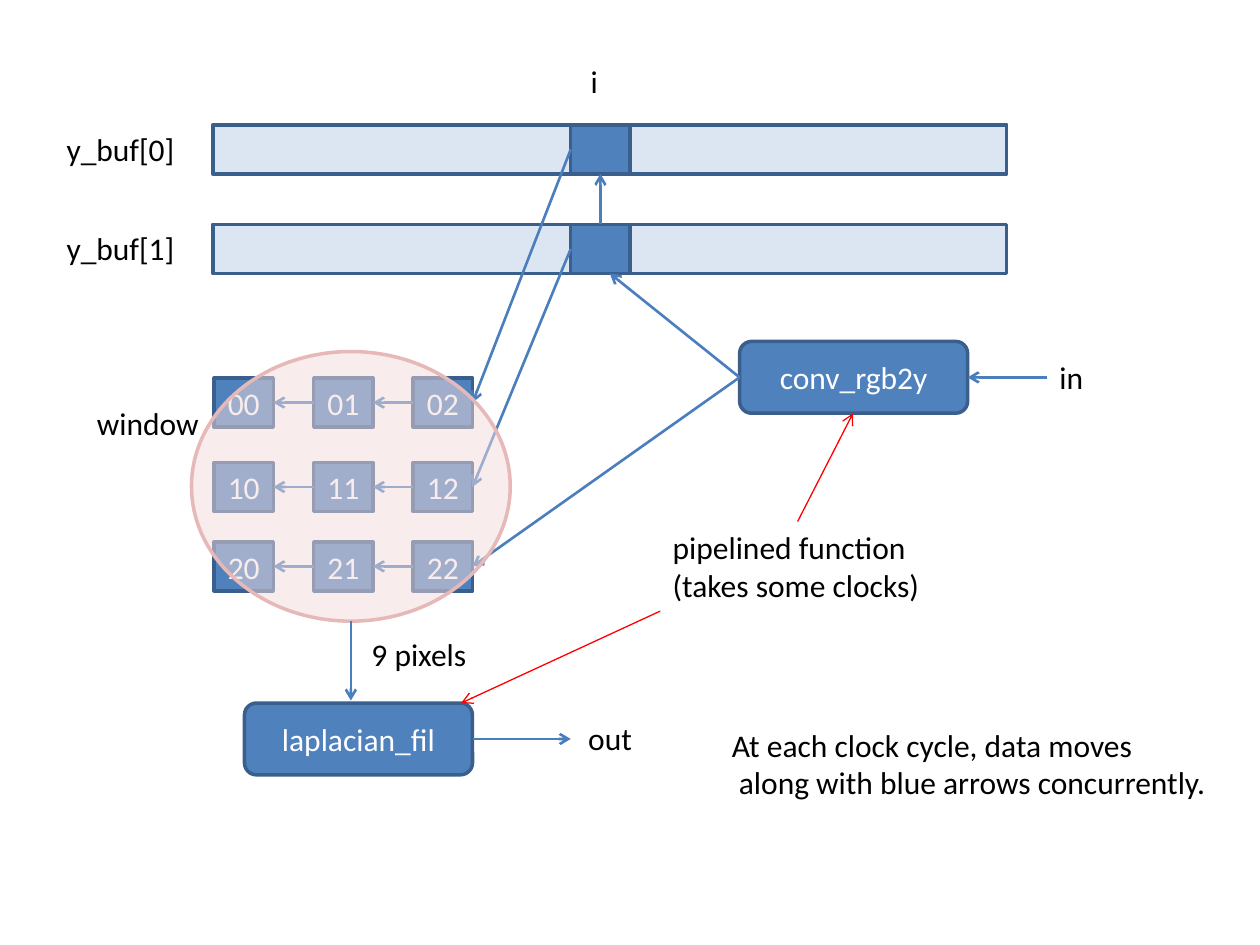
import pptx
import pptx.util
import pptx.dml.color
import pptx.enum.shapes
import pptx.enum.text
import pptx.oxml.ns
from lxml import etree

SHAPE = pptx.enum.shapes.MSO_SHAPE
INCH = pptx.util.Inches
COLORS = {
    "buffer": "DCE6F2", "block": "4F81BD", "edge": "3A5F8C", "flow": "4B7EBC",
    "note": "FF0000", "window": "F2DCDB", "window_edge": "E6B9B8",
    "white": "FFFFFF", "black": "000000",
}

# Content: labels as (left, top, width, lines)
LABELS = [
    (4.59, 0.44, 0.26, ["i"]),
    (8.31, 2.79, 0.39, ["in"]),
    (2.85, 4.99, 0.96, ["9 pixels"]),
    (0.67, 3.16, 1.02, ["window"]),
    (4.57, 5.66, 0.55, ["out"]),
    (5.24, 4.14, 2.18, ["pipelined function", "(takes some clocks)"]),
    (5.71, 5.71, 4.17, ["At each clock cycle, data moves",
                        " along with blue arrows concurrently."]),
]
BUFFERS = ["y_buf[0]", "y_buf[1]"]
WINDOW = [["00", "01", "02"], ["10", "11", "12"], ["20", "21", "22"]]

# Grid
CELL_W, CELL_H = 0.47, 0.39
BUFFER_LEFT, BUFFER_W, BUFFER_TOP, BUFFER_STEP = 1.69, 6.3, 0.99, 0.79
PIXEL_LEFT = 4.53
WINDOW_LEFT, WINDOW_STEP = 1.7, 0.79
WINDOW_TOPS = [3.0, 3.67, 4.3]
FUNCTION_W, FUNCTION_H = 1.81, 0.57
CONV = (5.87, 2.71)
LAPLACIAN = (1.94, 5.58)
ELLIPSE = (1.52, 2.79, 2.53, 2.14)

deck = pptx.Presentation()
deck.slide_width, deck.slide_height = INCH(10), INCH(7.5)
page = deck.slides.add_slide(deck.slide_layouts[6])


def rgb(name):
    return pptx.dml.color.RGBColor.from_string(COLORS[name])


def write(frame, lines, color, align):
    for number, line in enumerate(lines):
        para = frame.paragraphs[0] if number == 0 else frame.add_paragraph()
        para.alignment = align
        span = para.add_run()
        span.text = line
        span.font.size = pptx.util.Pt(18)
        span.font.name = "Calibri"
        span.font.color.rgb = rgb(color)


def add_box(kind, place, fill="block", edge="edge", text=None):
    box = page.shapes.add_shape(kind, *map(INCH, place))
    box.shadow.inherit = False
    box.fill.solid()
    box.fill.fore_color.rgb = rgb(fill)
    box.line.color.rgb = rgb(edge)
    box.line.width = pptx.util.Pt(2)
    if text:
        box.text_frame.vertical_anchor = pptx.enum.text.MSO_ANCHOR.MIDDLE
        write(box.text_frame, [text], "white", pptx.enum.text.PP_ALIGN.CENTER)
    return box


def add_label(left, top, width, lines):
    height = 0.4 if len(lines) == 1 else 0.71
    box = page.shapes.add_textbox(*map(INCH, (left, top, width, height)))
    box.text_frame.word_wrap = width > 4
    box.text_frame.auto_size = pptx.enum.text.MSO_AUTO_SIZE.SHAPE_TO_FIT_TEXT
    write(box.text_frame, lines, "black", pptx.enum.text.PP_ALIGN.LEFT)


def add_arrow(start, end, color="flow", width=1.5):
    arrow = page.shapes.add_connector(
        pptx.enum.shapes.MSO_CONNECTOR.STRAIGHT, *map(INCH, (*start, *end)))
    arrow.line.color.rgb = rgb(color)
    arrow.line.width = pptx.util.Pt(width)
    etree.SubElement(arrow.line._get_or_add_ln(),
                     pptx.oxml.ns.qn("a:tailEnd"), type="arrow")
    etree.SubElement(arrow._element.spPr, pptx.oxml.ns.qn("a:effectLst"))


# Line buffers with the current pixel
buffer_tops = [BUFFER_TOP + BUFFER_STEP * row for row in range(len(BUFFERS))]
for name, top in zip(BUFFERS, buffer_tops):
    add_box(SHAPE.RECTANGLE, (BUFFER_LEFT, top, BUFFER_W, CELL_H), "buffer")
    add_box(SHAPE.RECTANGLE, (PIXEL_LEFT, top, CELL_W, CELL_H))
    add_label(0.43, top - 0.01, 1.07, [name])
pixel_center = PIXEL_LEFT + CELL_W / 2
add_arrow((pixel_center, buffer_tops[1]), (pixel_center, buffer_tops[0] + CELL_H))

# Color conversion
conv_middle = CONV[1] + FUNCTION_H / 2
conv_out = (CONV[0], conv_middle)
add_box(SHAPE.ROUNDED_RECTANGLE, (*CONV, FUNCTION_W, FUNCTION_H), text="conv_rgb2y")
add_arrow((8.31, conv_middle), (CONV[0] + FUNCTION_W, conv_middle))
add_arrow(conv_out, (4.84, buffer_tops[1] + CELL_H))

# Shifting 3 x 3 window, each row fed from the right
sources = [(PIXEL_LEFT, top + CELL_H / 2) for top in buffer_tops] + [conv_out]
for names, top, source in zip(WINDOW, WINDOW_TOPS, sources):
    middle = top + CELL_H / 2
    for column, name in enumerate(names):
        left = WINDOW_LEFT + WINDOW_STEP * column
        add_box(SHAPE.RECTANGLE, (left, top, CELL_W, CELL_H), text=name)
        if column:
            add_arrow((left, middle), (left - WINDOW_STEP + CELL_W, middle))
    add_arrow(source, (left + CELL_W, middle))

# Translucent window outline
ellipse = add_box(SHAPE.OVAL, ELLIPSE, "window", "window_edge")
tint = ellipse.fill._xPr.find(".//" + pptx.oxml.ns.qn("a:srgbClr"))
etree.SubElement(tint, pptx.oxml.ns.qn("a:alpha"), val="50000")

# Laplacian filter
ellipse_center = ELLIPSE[0] + ELLIPSE[2] / 2
filter_middle = LAPLACIAN[1] + FUNCTION_H / 2
add_arrow((ellipse_center, ELLIPSE[1] + ELLIPSE[3]), (ellipse_center, 5.56))
add_box(SHAPE.ROUNDED_RECTANGLE, (*LAPLACIAN, FUNCTION_W, FUNCTION_H),
        text="laplacian_fil")
add_arrow((LAPLACIAN[0] + FUNCTION_W, filter_middle), (PIXEL_LEFT, filter_middle))

# Labels and the pointers from the pipeline note
for label in LABELS:
    add_label(*label)
add_arrow((6.33, 4.14), (6.77, CONV[1] + FUNCTION_H), "note", 0.75)
add_arrow((5.24, 4.85), (3.66, LAPLACIAN[1]), "note", 0.75)

deck.save("out.pptx")
